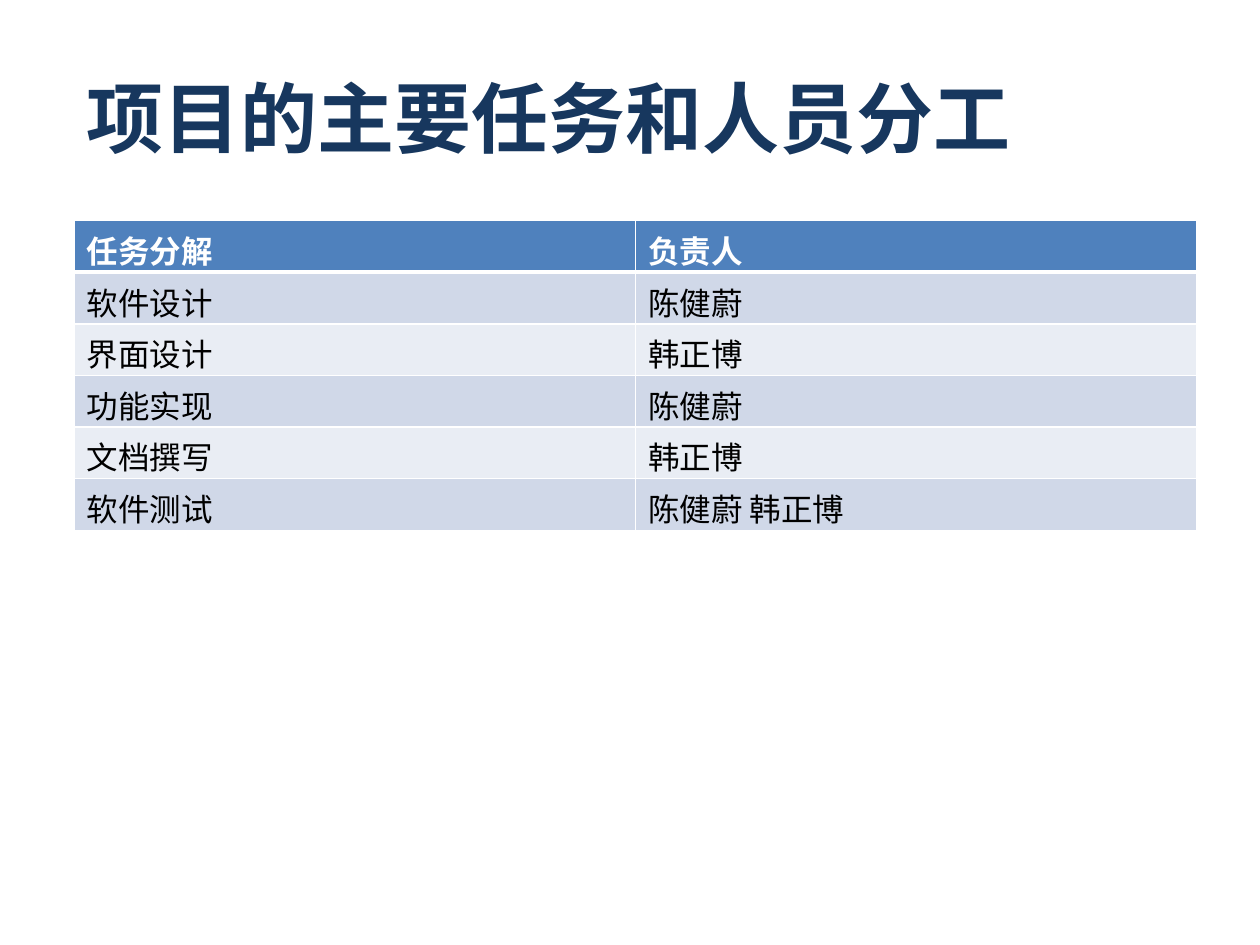
from dataclasses import dataclass

from lxml.etree import SubElement
from pptx import Presentation
from pptx.dml.color import RGBColor
from pptx.enum.text import MSO_ANCHOR as Anchor
from pptx.oxml.ns import qn
from pptx.util import Inches, Pt

PAGE_WIDTH, PAGE_HEIGHT = Inches(10), Inches(7.5)
LEFT, WIDTH = int(PAGE_WIDTH * 0.059), int(PAGE_WIDTH * 0.891)
TITLE_TOP, TITLE_HEIGHT = int(PAGE_HEIGHT * 0.04), Inches(1.25)
TABLE_TOP, ROW_HEIGHT = Inches(1.75), Inches(0.41)
FONT = "Arial"
NAVY, BLUE, WHITE, BLACK = "17375E", "4F81BD", "FFFFFF", "000000"
BANDS = ("D0D8E8", "E9EDF4")


@dataclass(frozen=True)
class Task:
    name: str
    owner: str


@dataclass(frozen=True)
class RowStyle:
    fill: str
    ink: str
    bold: bool
    top_line: float
    bottom_line: float


HEADING = Task("任务分解", "负责人")
TASKS = (
    Task("软件设计", "陈健蔚"),
    Task("界面设计", "韩正博"),
    Task("功能实现", "陈健蔚"),
    Task("文档撰写", "韩正博"),
    Task("软件测试", "陈健蔚 韩正博"),
)


def color(value: str) -> RGBColor:
    return RGBColor.from_string(value)


def write(frame, text: str, size: float, ink: str, bold: bool) -> None:
    frame.text = text
    for span in frame.paragraphs[0].runs:
        span.font.name = FONT
        span.font.size = Pt(size)
        span.font.bold = bold
        span.font.color.rgb = color(ink)


def add_border(cell, side: str, points: float) -> None:
    properties = cell._tc.get_or_add_tcPr()
    line = SubElement(properties, qn(f"a:ln{side}"), w=str(Pt(points)))
    fill = SubElement(line, qn("a:solidFill"))
    SubElement(fill, qn("a:srgbClr"), val=WHITE)


def draw_cell(cell, text: str, style: RowStyle) -> None:
    borders = {"L": 1, "R": 1, "T": style.top_line, "B": style.bottom_line}
    for side, points in borders.items():
        add_border(cell, side, points)
    cell.fill.solid()
    cell.fill.fore_color.rgb = color(style.fill)
    write(cell.text_frame, text, 18, style.ink, style.bold)


def row_style(row: int) -> RowStyle:
    if row == 0:
        return RowStyle(BLUE, WHITE, True, 1, 3)
    return RowStyle(BANDS[(row - 1) % 2], BLACK, False, 3 if row == 1 else 1, 1)


def draw_title(page, text: str) -> None:
    box = page.shapes.add_textbox(LEFT, TITLE_TOP, WIDTH, TITLE_HEIGHT)
    frame = box.text_frame
    frame.word_wrap = True
    frame.vertical_anchor = Anchor.MIDDLE
    write(frame, text, 44, NAVY, True)


def draw_tasks(page, tasks: tuple[Task, ...]) -> None:
    height = ROW_HEIGHT * len(tasks)
    table = page.shapes.add_table(len(tasks), 2, LEFT, TABLE_TOP, WIDTH, height).table
    for row, task in enumerate(tasks):
        for column, text in enumerate((task.name, task.owner)):
            draw_cell(table.cell(row, column), text, row_style(row))


def main() -> None:
    deck = Presentation()
    deck.slide_width, deck.slide_height = PAGE_WIDTH, PAGE_HEIGHT
    page = deck.slides.add_slide(deck.slide_layouts[6])
    draw_title(page, "项目的主要任务和人员分工")
    draw_tasks(page, (HEADING, *TASKS))
    deck.save("out.pptx")


if __name__ == "__main__":
    main()
